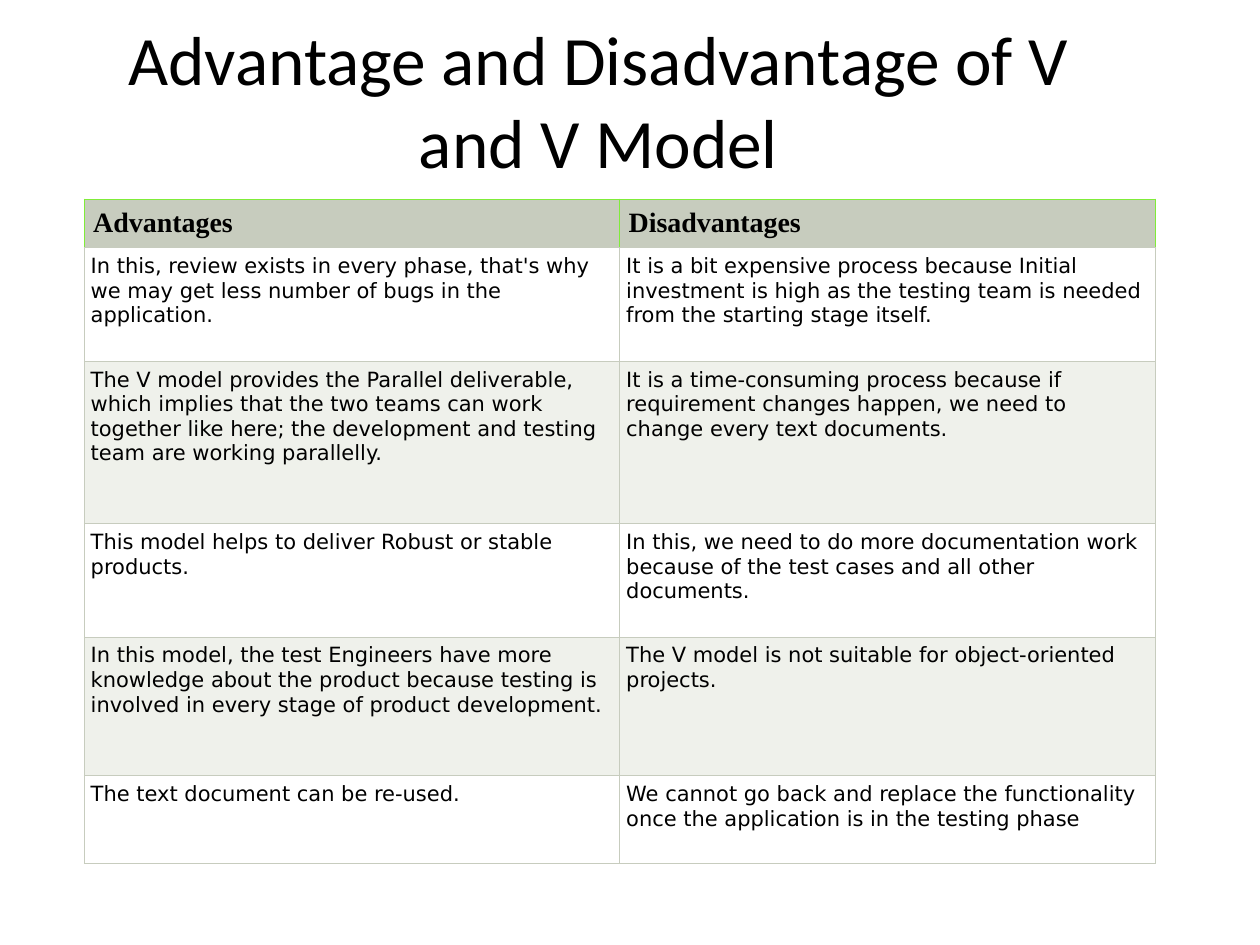
import dataclasses

import pptx
import pptx.dml.color
import pptx.enum.text
import pptx.oxml
import pptx.oxml.ns
import pptx.util

Inches = pptx.util.Inches


@dataclasses.dataclass(frozen=True)
class Theme:
    ink: str = "000000"
    head: str = "C7CCBE"
    edge: str = "80EC39"
    bands: tuple = ("FFFFFF", "EFF1EB")
    title: tuple = ("Calibri", 39.6, False)
    label: tuple = ("Times New Roman", 16, True)
    body: tuple = ("DejaVu Sans", 12, False)
    line: float = 0.75


THEME = Theme()
HEADS = ("Advantages", "Disadvantages")
PAIRS = [
    ("In this, review exists in every phase, that's why we may get less "
     "number of bugs in the application.",
     "It is a bit expensive process because Initial investment is high as "
     "the testing team is needed from the starting stage itself."),
    ("The V model provides the Parallel deliverable, which implies that the "
     "two teams can work together like here; the development and testing "
     "team are working parallelly.",
     "It is a time-consuming process because if requirement changes happen, "
     "we need to change every text documents."),
    ("This model helps to deliver Robust or stable products.",
     "In this, we need to do more documentation work because of the test "
     "cases and all other documents."),
    ("In this model, the test Engineers have more knowledge about the "
     "product because testing is involved in every stage of product "
     "development.",
     "The V model is not suitable for object-oriented projects."),
    ("The text document can be re-used.",
     "We cannot go back and replace the functionality once the application "
     "is in the testing phase"),
]
HEIGHTS = (0.37, 0.9, 1.29, 0.9, 1.1, 0.7)


def color(code):
    return pptx.dml.color.RGBColor.from_string(code)


def style(para, face):
    font = para.font
    font.name, size, font.bold = face
    font.size = pptx.util.Pt(size)
    font.color.rgb = color(THEME.ink)


def add_title(slide, text):
    title = slide.shapes.title
    title.left, title.top = Inches(0.5), Inches(0.25)
    title.width, title.height = Inches(8.5), Inches(1.08)
    frame = title.text_frame
    frame.text = text
    frame.word_wrap = True
    frame.auto_size = pptx.enum.text.MSO_AUTO_SIZE.NONE
    frame.vertical_anchor = pptx.enum.text.MSO_ANCHOR.MIDDLE
    para = frame.paragraphs[0]
    para.alignment = pptx.enum.text.PP_ALIGN.CENTER
    style(para, THEME.title)


def set_edges(cell, codes):
    props = cell._tc.get_or_add_tcPr()
    for side, code in zip("LRTB", codes):
        props.append(pptx.oxml.parse_xml(
            f'<a:ln{side} {pptx.oxml.ns.nsdecls("a")} '
            f'w="{pptx.util.Pt(THEME.line)}"><a:solidFill>'
            f'<a:srgbClr val="{code}"/></a:solidFill></a:ln{side}>'))


def fill_cell(cell, text, face, pad, back, edges):
    cell.text = text
    style(cell.text_frame.paragraphs[0], face)
    cell.margin_left = cell.margin_right = Inches(pad)
    cell.margin_top = cell.margin_bottom = Inches(pad)
    set_edges(cell, edges)
    cell.fill.solid()
    cell.fill.fore_color.rgb = color(back)


def add_table(slide):
    table = slide.shapes.add_table(
        len(HEIGHTS), len(HEADS), Inches(0.67), Inches(1.58),
        Inches(8.5), Inches(sum(HEIGHTS))).table
    for row, height in zip(table.rows, HEIGHTS):
        row.height = Inches(height)
    for cell, text in zip(table.rows[0].cells, HEADS):
        fill_cell(cell, text, THEME.label, 0.07, THEME.head,
                  [THEME.edge] * 3 + [THEME.head])
    for num, pair in enumerate(PAIRS):
        for cell, text in zip(table.rows[num + 1].cells, pair):
            fill_cell(cell, text, THEME.body, 0.05, THEME.bands[num % 2],
                      [THEME.head] * 4)


def main():
    deck = pptx.Presentation()
    deck.slide_width, deck.slide_height = Inches(10), Inches(7.5)
    slide = deck.slides.add_slide(deck.slide_layouts[5])
    add_title(slide, "Advantage and Disadvantage of V and V Model")
    add_table(slide)
    deck.save("out.pptx")


if __name__ == "__main__":
    main()
